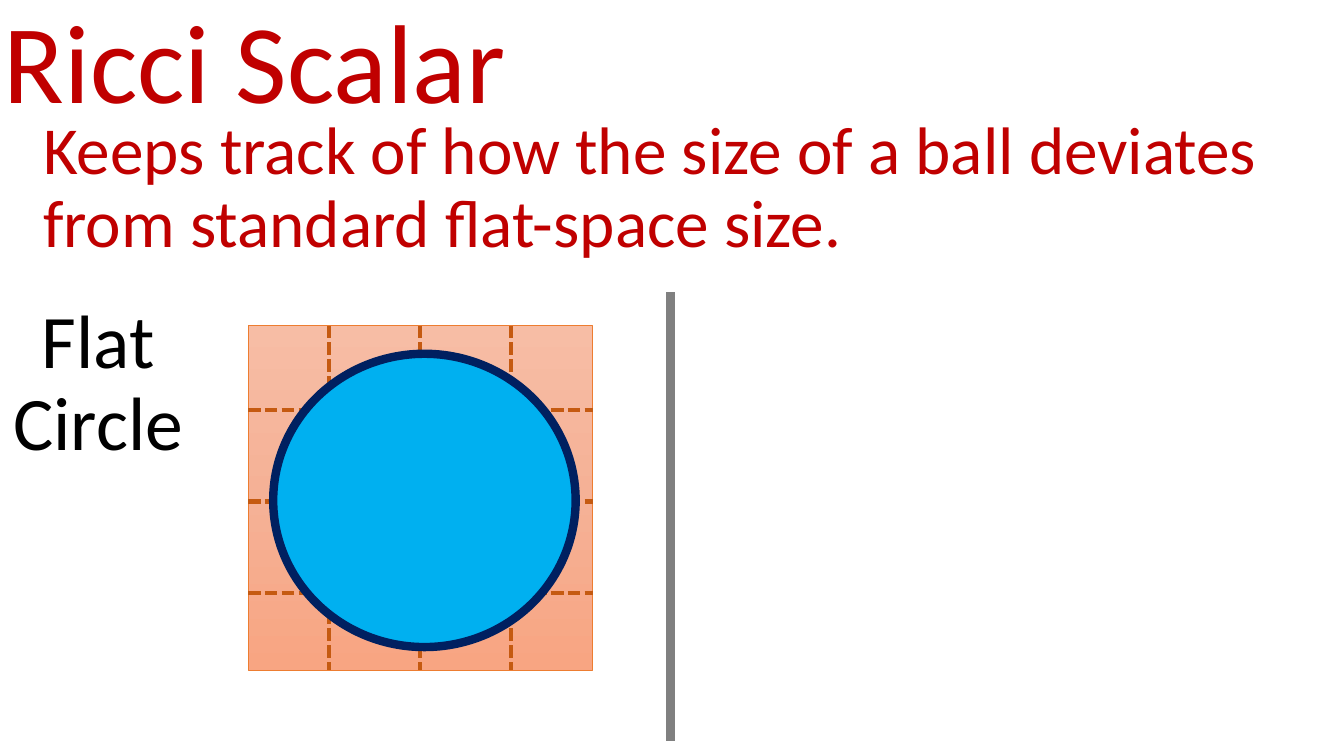
from copy import deepcopy

from lxml.etree import SubElement
from pptx import Presentation
from pptx.dml.color import RGBColor
from pptx.enum.dml import MSO_LINE
from pptx.enum.shapes import MSO_CONNECTOR, MSO_SHAPE
from pptx.enum.text import MSO_ANCHOR, PP_ALIGN
from pptx.oxml.ns import qn
from pptx.util import Inches, Pt

COLORS = {
    "red": "C00000",
    "black": "000000",
    "gray": "808080",
    "orange": "ED7D31",
    "grid": "C55A11",
    "blue": "00B0F0",
    "navy": "002060",
}
PLANE_STOPS = [(0, "F7BDA5"), (0.5, "F5B196"), (1, "F8A582")]


def rgb(name):
    return RGBColor.from_string(COLORS[name])


def add_text(shapes, text, box, size, color, align=PP_ALIGN.LEFT):
    textbox = shapes.add_textbox(*map(Inches, box))
    text_frame = textbox.text_frame
    text_frame.word_wrap = True
    text_frame.vertical_anchor = MSO_ANCHOR.MIDDLE
    text_frame.text = text
    for paragraph in text_frame.paragraphs:
        paragraph.alignment = align
        paragraph.line_spacing = 0.9
        for run in paragraph.runs:
            run.font.name = "Calibri"
            run.font.size = Pt(size)
            run.font.color.rgb = rgb(color)


def add_line(shapes, start, end, color, width, dash=None):
    line = shapes.add_connector(
        MSO_CONNECTOR.STRAIGHT, *map(Inches, (*start, *end)))
    line.line.color.rgb = rgb(color)
    line.line.width = Pt(width)
    if dash:
        line.line.dash_style = dash
    SubElement(line.element.spPr, qn("a:effectLst"))


def add_outlined_shape(shapes, kind, box, color, width):
    shape = shapes.add_shape(kind, *map(Inches, box))
    shape.shadow.inherit = False
    shape.line.color.rgb = rgb(color)
    shape.line.width = Pt(width)
    return shape


def fill_gradient(shape, stops):
    shape.fill.gradient()
    shape.fill.gradient_angle = 270  # counter-clockwise: top to bottom
    stop_list = shape.element.spPr.find(qn("a:gradFill")).find(qn("a:gsLst"))
    stop_list.append(deepcopy(stop_list[0]))
    for stop, (position, color) in zip(shape.fill.gradient_stops, stops):
        stop.position = position
        stop.color.rgb = RGBColor.from_string(color)


def add_flat_circle(shapes):
    left, top, side = 2.46, 3.23, 3.42
    plane = add_outlined_shape(
        shapes, MSO_SHAPE.RECTANGLE, (left, top, side, side), "orange", 0.5)
    fill_gradient(plane, PLANE_STOPS)
    add_text(shapes, "Flat\nCircle", (-0.12, 3.15, 2.19, 1.34), 54, "black",
             PP_ALIGN.CENTER)

    # Dashed grid on the plane
    first_x, first_y, step = 3.26, 4.07, 0.905
    for index in range(3):
        x = first_x + index * step
        y = first_y + index * step
        add_line(shapes, (x, top), (x, top + side), "grid", 3,
                 MSO_LINE.SQUARE_DOT)
        add_line(shapes, (left, y), (left + side, y), "grid", 3,
                 MSO_LINE.SQUARE_DOT)

    # Circle in front of the grid
    circle = add_outlined_shape(
        shapes, MSO_SHAPE.OVAL, (2.71, 3.51, 3, 2.91), "navy", 6)
    circle.fill.solid()
    circle.fill.fore_color.rgb = rgb("blue")


def main():
    presentation = Presentation()
    presentation.slide_width = Inches(13.33)
    presentation.slide_height = Inches(7.5)
    slide = presentation.slides.add_slide(presentation.slide_layouts[6])

    # Heading and explanation
    add_text(slide.shapes, "Ricci Scalar", (-0.06, 0, 5.79, 1.34), 80, "red")
    add_text(slide.shapes,
             "Keeps track of how the size of a ball deviates "
             "from standard flat-space size.",
             (0.33, 1.21, 13, 1.34), 48, "red")

    # Divider and the flat-space example
    add_line(slide.shapes, (6.65, 2.9), (6.65, 7.35), "gray", 6)
    add_flat_circle(slide.shapes.add_group_shape().shapes)

    presentation.save("out.pptx")


if __name__ == "__main__":
    main()
